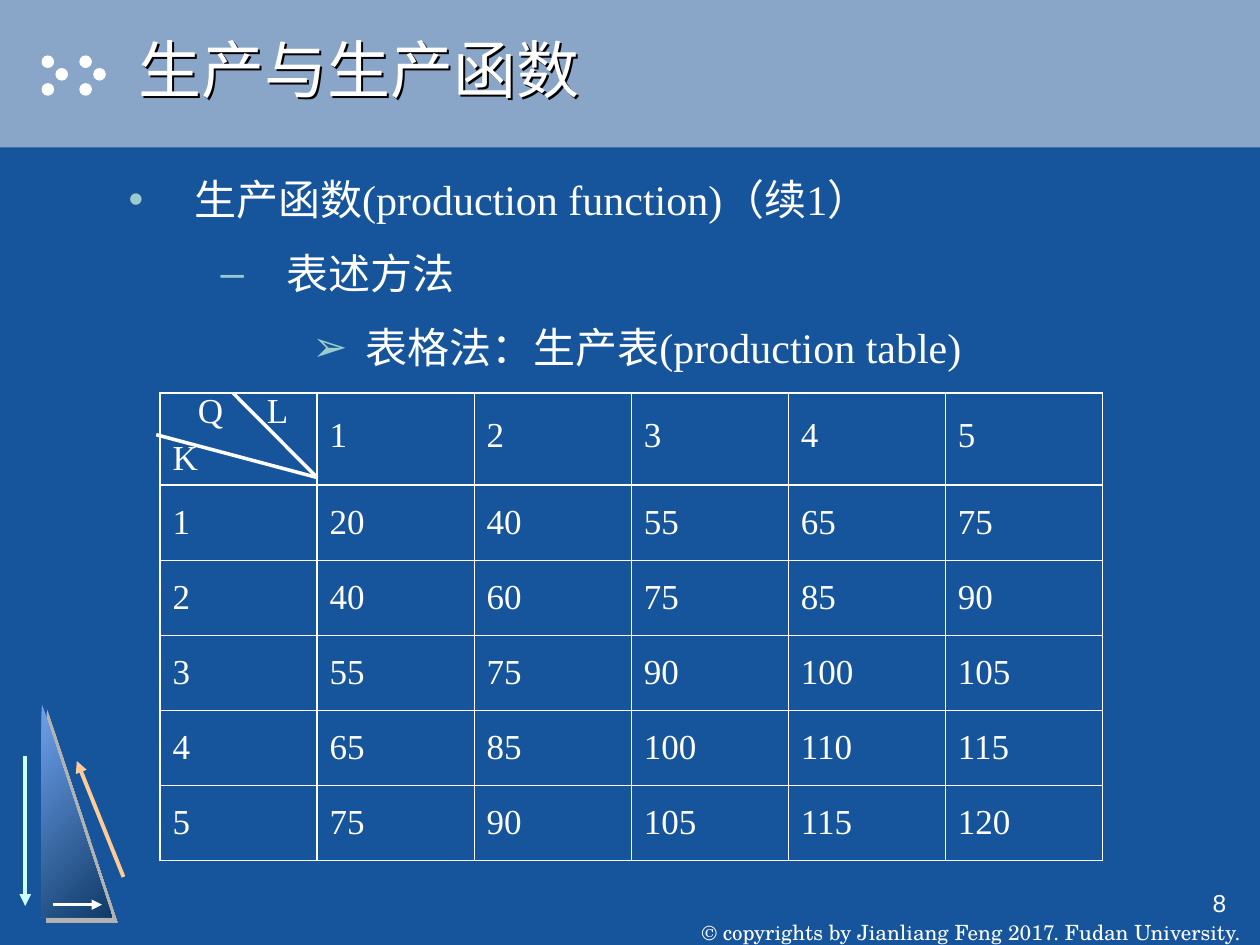
from lxml.etree import SubElement
from pptx import Presentation
from pptx.dml.color import RGBColor
from pptx.enum.shapes import MSO_CONNECTOR as CONNECTOR, MSO_SHAPE as SHAPE
from pptx.enum.text import MSO_ANCHOR as ANCHOR, MSO_AUTO_SIZE as AUTO_SIZE, PP_ALIGN as ALIGN
from pptx.oxml import parse_xml
from pptx.oxml.ns import nsdecls, qn
from pptx.util import Inches, Pt

COLORS = {
    "background": "16559B", "band": "89A5C7", "white": "FFFFFF",
    "bullet": "99CCCC", "light": "6FA2ED", "dark": "0F3A68",
    "shadow": "B2B2B2", "down": "CCFFFF", "up": "FFCC99", "title_shadow": "000000",
}
SERIF = "Times New Roman"
OUTLINE = [
    ("生产函数(production function)（续1）", "•", 0.52, -0.52),
    ("表述方法", "–", 1.25, -0.52),
    ("表格法：生产表(production table)", "➢", 1.88, -0.42),
]
AXES = "Q L"
OUTPUT = [
    [20, 40, 55, 65, 75],
    [40, 60, 75, 85, 90],
    [55, 75, 90, 100, 105],
    [65, 85, 100, 110, 115],
    [75, 90, 105, 115, 120],
]


def color(name):
    """Return the named colour."""
    return RGBColor.from_string(COLORS[name])


def set_font(paragraph, size, name):
    """Format a whole paragraph in white."""
    font = paragraph.font
    font.size, font.name = Pt(size), name
    font.color.rgb = color("white")


def add_shadow(shape, color_name, distance):
    """Add a hard shadow falling to the lower right."""
    shape.shadow.inherit = False
    effects = shape.element.spPr.find(qn("a:effectLst"))
    shadow = SubElement(effects, qn("a:outerShdw"), dist=str(Pt(distance)),
                        dir="2700000", algn="ctr", rotWithShape="0")
    SubElement(shadow, qn("a:srgbClr"), val=COLORS[color_name])


def add_shape(shapes, kind, left, top, width, height, fill=None):
    """Add a borderless shape without shadow."""
    shape = shapes.add_shape(kind, Inches(left), Inches(top), Inches(width), Inches(height))
    shape.shadow.inherit = False
    shape.line.fill.background()
    if fill:
        shape.fill.solid()
        shape.fill.fore_color.rgb = color(fill)
    return shape


def add_line(shapes, start, end, color_name, width, arrow=False):
    """Add a straight line, optionally with an arrowhead at its end."""
    line = shapes.add_connector(CONNECTOR.STRAIGHT, *map(Inches, start + end))
    line.line.color.rgb = color(color_name)
    line.line.width = Pt(width)
    if arrow:
        SubElement(line.line._get_or_add_ln(), qn("a:tailEnd"), type="triangle")
    SubElement(line.element.spPr, qn("a:effectLst"))


def add_header(slide, left, top, width, height):
    """Draw the title band with its two arrows of dots."""
    add_shape(slide.shapes, SHAPE.RECTANGLE, left, top, width, height, "band")
    dots = slide.shapes.add_group_shape().shapes
    for start in (0.33, 0.63):
        for across, down in ((0, 0.44), (0.11, 0.54), (0, 0.66)):
            add_shape(dots, SHAPE.OVAL, left + start + across, top + down, 0.1, 0.1, "white")


def add_triangle(slide, left, top, width, height):
    """Draw the shaded triangle and the arrows along its sides."""
    triangle = add_shape(slide.shapes, SHAPE.RIGHT_TRIANGLE, left, top, width, height)
    triangle.fill.gradient()
    triangle.fill.gradient_angle = 315
    for stop, name, position in zip(triangle.fill.gradient_stops, ("light", "dark"), (0, 1)):
        stop.color.rgb = color(name)
        stop.position = position
    add_shadow(triangle, "shadow", 4.2)
    base = top + height - 0.1
    arrows = [
        ((left - 0.13, top + 0.42), (left - 0.13, base + 0.01), "down", 2.25),
        ((left + 0.65, top + 1.38), (left + 0.28, top + 0.46), "up", 2.25),
        ((left + 0.09, base), (left + 0.48, base), "white", 1.5),
    ]
    for arrow in arrows:
        add_line(slide.shapes, *arrow, arrow=True)


def place(shape, left, top, width, height):
    """Move a placeholder to a box, in front of what is drawn so far."""
    shape.left, shape.top = Inches(left), Inches(top)
    shape.width, shape.height = Inches(width), Inches(height)
    shape.element.getparent().append(shape.element)
    shape.text_frame.auto_size = AUTO_SIZE.NONE


def fill_title(slide, left, top, width, height):
    """Write the slide title with its text shadow."""
    title = slide.shapes.title
    place(title, left, top, width, height)
    title.text_frame.text = "生产与生产函数"
    title.text_frame.vertical_anchor = ANCHOR.MIDDLE
    title.text_frame.paragraphs[0].alignment = ALIGN.LEFT
    set_font(title.text_frame.paragraphs[0], 36, "Arial")
    title.fill.background()
    add_shadow(title, "title_shadow", 1.5)


def fill_outline(slide, left, top, width, height):
    """Write the bulleted outline, one level for each line."""
    body = slide.placeholders[1]
    place(body, left, top, width, height)
    frame = body.text_frame
    frame.text = "\n".join(text for text, *_ in OUTLINE)
    for level, (paragraph, (_, bullet, margin, indent)) in enumerate(zip(frame.paragraphs, OUTLINE)):
        paragraph.level = level
        paragraph.space_before = Pt(13.5 if level else 0)
        properties = paragraph._p.get_or_add_pPr()
        properties.set("marL", str(Inches(margin)))
        properties.set("indent", str(Inches(indent)))
        bullet_color = SubElement(properties, qn("a:buClr"))
        SubElement(bullet_color, qn("a:srgbClr"), val=COLORS["bullet"])
        SubElement(properties, qn("a:buChar"), char=bullet)
        set_font(paragraph, 24, SERIF)


def set_borders(cell, row, column, last):
    """Rule a cell, heavier around the table and its headings."""
    edges = {"L": column, "R": column + 1, "T": row, "B": row + 1}
    properties = cell._tc.get_or_add_tcPr()
    for position, (side, edge) in enumerate(edges.items()):
        width = Pt(1.08 if edge in (0, 1, last) else 0.45)
        properties.insert(position, parse_xml(
            f'<a:ln{side} {nsdecls("a")} w="{width}"><a:solidFill>'
            f'<a:srgbClr val="{COLORS["white"]}"/></a:solidFill></a:ln{side}>'))


def spread_axes(paragraph):
    """Indent the axis letters and space them to either side of the divider."""
    paragraph._p.get_or_add_pPr().set("indent", str(Inches(0.2)))
    paragraph.runs[0].font._element.set("spc", "1000")


def add_production_table(slide, left, top, width, height):
    """Add the table of output by capital and labour."""
    numbers = list(range(1, len(OUTPUT) + 1))
    rows = [[f"{AXES}\nK", *numbers]]
    rows += [[capital, *values] for capital, values in zip(numbers, OUTPUT)]
    count = len(rows)
    header = 0.73
    table = slide.shapes.add_table(count, count, Inches(left), Inches(top),
                                   Inches(width), Inches(height)).table
    table.first_row = table.horz_banding = False
    for index in range(count):
        table.columns[index].width = Inches(width / count)
        table.rows[index].height = Inches((height - header) / (count - 1) if index else header)
    for row, values in enumerate(rows):
        for column, value in enumerate(values):
            cell = table.cell(row, column)
            cell.text = str(value)
            cell.vertical_anchor = ANCHOR.MIDDLE
            cell.fill.background()
            set_borders(cell, row, column, count)
            for position, paragraph in enumerate(cell.text_frame.paragraphs):
                paragraph.line_spacing = 1.0 if row else 0.7
                paragraph.space_before = Pt(11.2 if position else 0)
                set_font(paragraph, 20, SERIF)
    spread_axes(table.cell(0, 0).text_frame.paragraphs[0])
    dividers = slide.shapes.add_group_shape().shapes
    corner = (left + width / count, top + 0.67)
    for start in ((left + 0.58, top), (left - 0.03, top + 0.33)):
        add_line(dividers, start, corner, "white", 2)


def add_label(slide, left, top, width, height, text, size, font, alignment, anchor, wrap):
    """Add one line of footer text."""
    frame = slide.shapes.add_textbox(Inches(left), Inches(top), Inches(width), Inches(height)).text_frame
    frame.word_wrap, frame.vertical_anchor = wrap, anchor
    if not wrap:
        frame.margin_top = frame.margin_bottom = 0
    frame.text = text
    frame.paragraphs[0].alignment = alignment
    set_font(frame.paragraphs[0], size, font)


def main():
    """Build and save the slide."""
    presentation = Presentation()
    presentation.slide_width, presentation.slide_height = Inches(10), Inches(7.5)
    slide = presentation.slides.add_slide(presentation.slide_layouts[1])
    slide.background.fill.solid()
    slide.background.fill.fore_color.rgb = color("background")
    add_header(slide, 0, 0, 10, 1.17)
    add_triangle(slide, 0.33, 5.58, 0.56, 1.7)
    add_label(slide, 5.42, 7, 4.58, 0.5, "© copyrights by Jianliang Feng 2017. Fudan University.",
              12, "TeX Gyre Schola", ALIGN.CENTER, ANCHOR.BOTTOM, False)
    add_label(slide, 7.75, 7, 2.08, 0.5, "8", 14, "Arial", ALIGN.RIGHT, ANCHOR.TOP, True)
    fill_title(slide, 1, 0, 9, 1.08)
    fill_outline(slide, 0.92, 1.33, 8.17, 5)
    add_production_table(slide, 1.27, 3.12, 7.48, 3.71)
    presentation.save("out.pptx")


if __name__ == "__main__":
    main()
